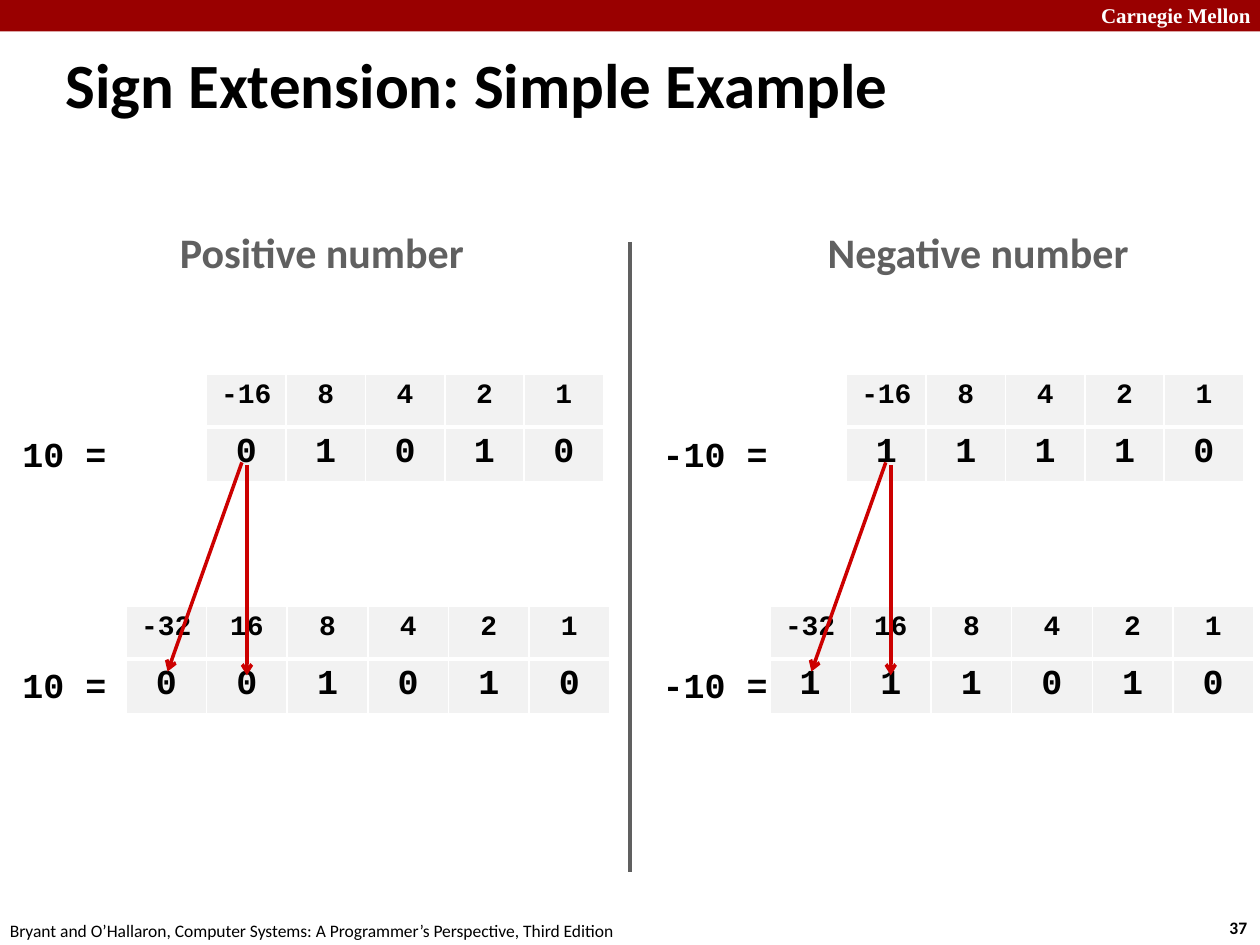
from pptx import Presentation
from pptx.dml.color import RGBColor
from pptx.enum.shapes import MSO_CONNECTOR, MSO_SHAPE
from pptx.enum.text import MSO_ANCHOR, PP_ALIGN
from pptx.oxml import parse_xml
from pptx.oxml.ns import nsdecls
from pptx.util import Inches, Pt

BLACK, WHITE, GRAY = "000000", "FFFFFF", "606060"
BAND_RED, ARROW_RED, CELL_GRAY = "990000", "CC0000", "F2F2F2"
SANS, MONO, SERIF = "Calibri", "Courier New", "Times New Roman"
ROW_HEIGHT = 0.42


def color(value):
    return RGBColor.from_string(value)


def style(para, size, name, ink=BLACK, bold=True):
    para.font.size = Pt(size)
    para.font.name = name
    para.font.bold = bold
    para.font.color.rgb = color(ink)


def add_text(page, left, top, width, height, text, size, name,
             ink=BLACK, bold=True, wrap=False, anchor=MSO_ANCHOR.TOP):
    box = page.shapes.add_textbox(Inches(left), Inches(top), Inches(width), Inches(height))
    frame = box.text_frame
    frame.word_wrap = wrap
    frame.vertical_anchor = anchor
    frame.text = text
    style(frame.paragraphs[0], size, name, ink, bold)


def add_line(page, start, end, ink, arrow=False):
    line = page.shapes.add_connector(MSO_CONNECTOR.STRAIGHT, *map(Inches, start + end))
    line.line.color.rgb = color(ink)
    line.line.width = Pt(2)
    if arrow:
        outline = line.line._get_or_add_ln()
        outline.append(parse_xml(f'<a:tailEnd {nsdecls("a")} type="arrow"/>'))
    line._element.spPr.append(parse_xml(f'<a:effectLst {nsdecls("a")}/>'))


def add_borders(cell, top, bottom):
    properties = cell._tc.get_or_add_tcPr()
    for side, width in (("L", 1), ("R", 1), ("T", top), ("B", bottom)):
        properties.append(parse_xml(
            f'<a:ln{side} {nsdecls("a")} w="{Pt(width)}"><a:solidFill>'
            f'<a:srgbClr val="{WHITE}"/></a:solidFill></a:ln{side}>'))


def add_bits(page, left, top, column_width, weights, bits):
    columns = len(weights)
    frame = page.shapes.add_table(2, columns, Inches(left), Inches(top),
                                  Inches(column_width * columns), Inches(2 * ROW_HEIGHT))
    table = frame.table
    for column in table.columns:
        column.width = Inches(column_width)
    rows = ((weights, 16, 1, 3), (bits, 20, 3, 1))
    for row, (values, size, above, below) in enumerate(rows):
        for column, value in enumerate(values):
            cell = table.cell(row, column)
            add_borders(cell, above, below)
            cell.fill.solid()
            cell.fill.fore_color.rgb = color(CELL_GRAY)
            cell.text = value
            para = cell.text_frame.paragraphs[0]
            para.alignment = PP_ALIGN.CENTER
            style(para, size, MONO)


def add_example(page, left, top, heading, heading_left, heading_width,
                label, label_width, short_bits, long_bits, long_left):
    short_top, long_top = top + 1.22, top + 3.06
    add_text(page, left + heading_left, top, heading_width, 0.5, heading, 24, SANS, GRAY)
    for table_top in (short_top, long_top):
        add_text(page, left + 0.08, table_top + 0.41, label_width, 0.44, label, 20, MONO)
    low_weights = ["8", "4", "2", "1"]
    add_bits(page, left + 1.64, short_top, 0.63, ["-16"] + low_weights, short_bits)
    add_bits(page, left + long_left, long_top, 0.64, ["-32", "16"] + low_weights, long_bits)
    sign = left + long_left + 0.96
    add_line(page, (sign, short_top + 0.72), (sign, long_top + 0.55), ARROW_RED, True)
    add_line(page, (sign - 0.04, short_top + 0.7), (sign - 0.63, long_top + 0.52),
             ARROW_RED, True)


def add_header(page, width):
    band = page.shapes.add_shape(MSO_SHAPE.RECTANGLE, 0, 0, Inches(width), Inches(0.25))
    band.shadow.inherit = False
    band.fill.solid()
    band.fill.fore_color.rgb = color(BAND_RED)
    band.line.fill.background()
    add_text(page, width - 1.36, -0.03, 1.43, 0.3, "Carnegie Mellon", 12, SERIF, WHITE)
    add_text(page, 0.42, 0.35, width - 0.42, 0.63, "Sign Extension: Simple Example",
             36, SANS, wrap=True, anchor=MSO_ANCHOR.MIDDLE)


def add_footer(page, top, width):
    add_text(page, width - 0.34, top - 0.02, 0.37, 0.27, "37", 10, SANS)
    add_text(page, -0.02, top, 5.08, 0.27,
             "Bryant and O’Hallaron, Computer Systems: A Programmer’s Perspective, Third Edition",
             10, SANS, bold=False)


def main():
    deck = Presentation()
    deck.slide_width, deck.slide_height = Inches(10), Inches(7.5)
    page = deck.slides.add_slide(deck.slide_layouts[6])
    add_header(page, 10)
    add_footer(page, 7.25, 10)
    add_line(page, (5, 1.92), (5, 6.92), GRAY)
    add_example(page, 0, 1.75, "Positive number", 1.33, 2.48,
                "10 =", 1.04, "01010", "001010", 1)
    add_example(page, 5.08, 1.75, "Negative number", 1.39, 2.62,
                "-10 =", 1.21, "11110", "111010", 1.03)
    deck.save("out.pptx")


if __name__ == "__main__":
    main()
